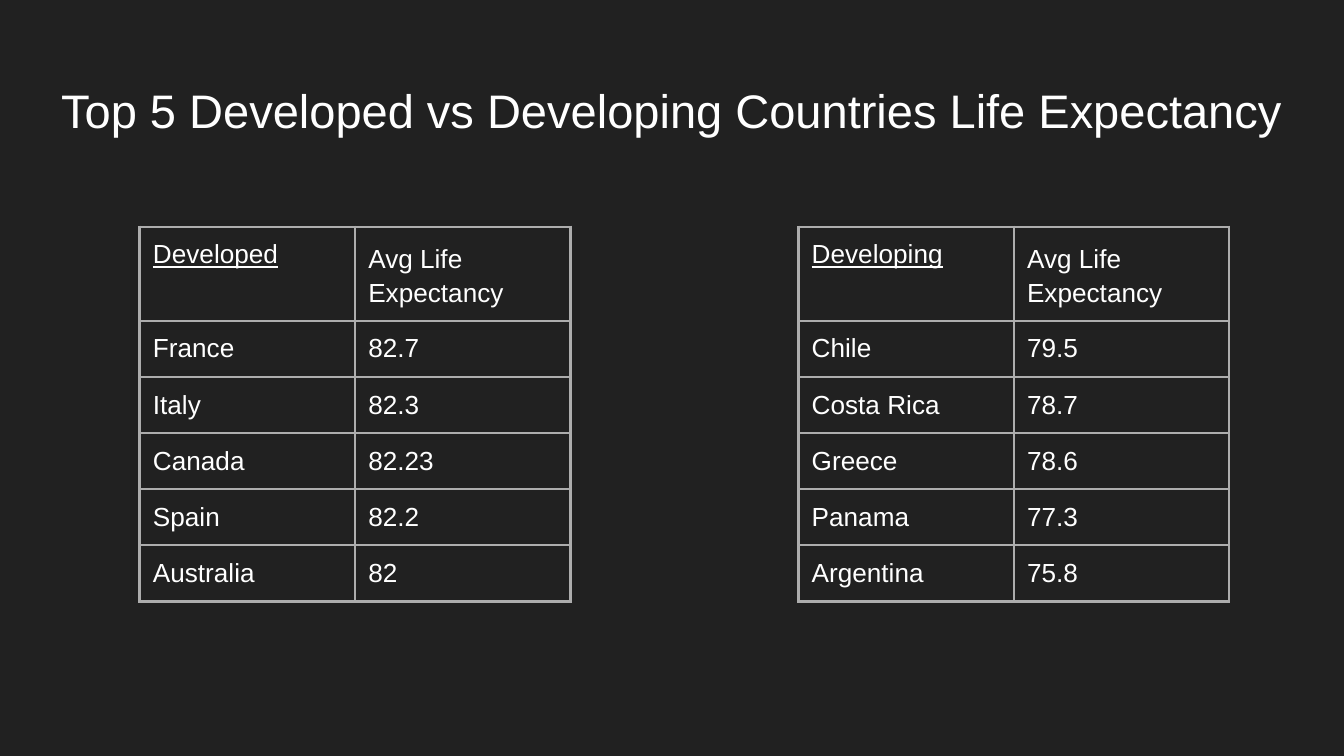
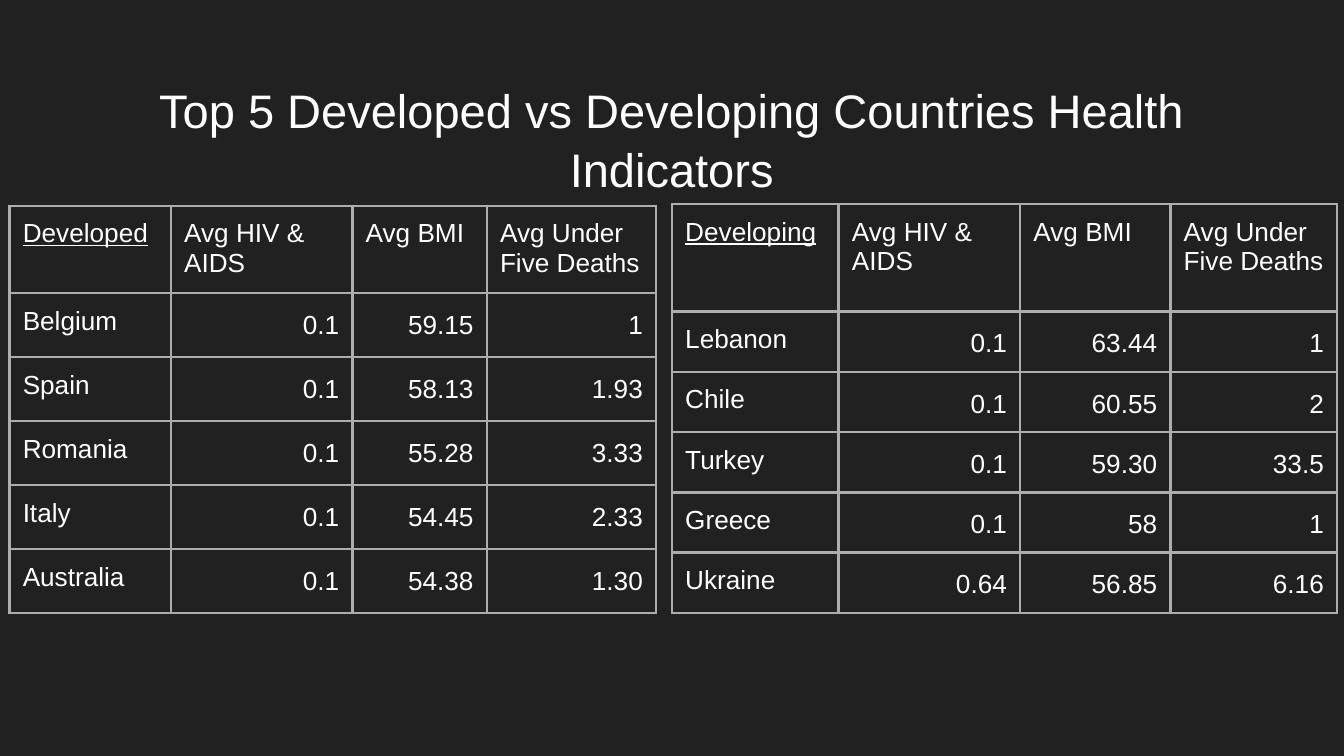
from dataclasses import dataclass

from lxml import etree
from pptx import Presentation
from pptx.dml.color import RGBColor
from pptx.enum.text import MSO_ANCHOR, MSO_AUTO_SIZE, PP_ALIGN
from pptx.oxml.ns import qn
from pptx.util import Cm, Pt

LEFT, CENTER, RIGHT = PP_ALIGN.LEFT, PP_ALIGN.CENTER, PP_ALIGN.RIGHT
TOP = MSO_ANCHOR.TOP
NO_AUTOFIT = MSO_AUTO_SIZE.NONE
TITLE_ONLY = 5


@dataclass(frozen=True)
class Theme:
    background: str = "212121"
    text: str = "FFFFFF"
    border: str = "ADADAD"
    font: str = "Arial"
    title_size: float = 25.2
    table_size: float = 14
    border_width: float = 1.5
    inset: float = 0.25


THEME = Theme()
SLIDE_SIZE = 25.4, 14.29
TITLE_BOX = 0.86, 1.24, 23.67, 1.6

LIFE_HEADER = ["Avg Life Expectancy"]
HEALTH_HEADER = ["Avg HIV & AIDS", "Avg BMI", "Avg Under Five Deaths"]

LOOSE = {"spacing": 1.15}
LIFE_STYLE = {"header": {**LOOSE, "after": 12}, "value": {}}
HEALTH_STYLE = {"header": {}, "value": {**LOOSE, "align": RIGHT}}

# Lengths are in centimetres; heights are for the header row and a country row.
LIFE_GRID = {"columns": [4.07, 4.07], "heights": (1.06, 1.06), "style": LIFE_STYLE}

SLIDES = [
    ("Top 5 Developed vs Developing Countries Life Expectancy", [
        {**LIFE_GRID, "at": (2.64, 4.29), "rows": [
            ["Developed", *LIFE_HEADER],
            ["France", "82.7"],
            ["Italy", "82.3"],
            ["Canada", "82.23"],
            ["Spain", "82.2"],
            ["Australia", "82"],
        ]},
        {**LIFE_GRID, "at": (15.09, 4.29), "rows": [
            ["Developing", *LIFE_HEADER],
            ["Chile", "79.5"],
            ["Costa Rica", "78.7"],
            ["Greece", "78.6"],
            ["Panama", "77.3"],
            ["Argentina", "75.8"],
        ]},
    ]),
    ("Top 5 Developed vs Developing Countries Health Indicators", [
        {"at": (12.7, 3.86), "columns": [3.15, 3.43, 2.84, 3.15],
         "heights": (2.03, 1.12), "style": HEALTH_STYLE, "rows": [
            ["Developing", *HEALTH_HEADER],
            ["Lebanon", "0.1", "63.44", "1"],
            ["Chile", "0.1", "60.55", "2"],
            ["Turkey", "0.1", "59.30", "33.5"],
            ["Greece", "0.1", "58", "1"],
            ["Ukraine", "0.64", "56.85", "6.16"],
        ]},
        {"at": (0.18, 3.89), "columns": [3.05, 3.43, 2.54, 3.2],
         "heights": (1.65, 1.21), "style": HEALTH_STYLE, "rows": [
            ["Developed", *HEALTH_HEADER],
            ["Belgium", "0.1", "59.15", "1"],
            ["Spain", "0.1", "58.13", "1.93"],
            ["Romania", "0.1", "55.28", "3.33"],
            ["Italy", "0.1", "54.45", "2.33"],
            ["Australia", "0.1", "54.38", "1.30"],
        ]},
    ]),
]


def write(frame, text, size=THEME.table_size, align=LEFT, spacing=None,
          after=None, underline=None):
    paragraph = frame.paragraphs[0]
    paragraph.alignment = align
    if spacing is not None:
        paragraph.line_spacing = spacing
    if after is not None:
        paragraph.space_after = Pt(after)
    run = paragraph.add_run()
    run.text = text
    run.font.size = Pt(size)
    run.font.name = THEME.font
    run.font.color.rgb = RGBColor.from_string(THEME.text)
    run.font.underline = underline


def set_insets(holder):
    """Give a text frame or a table cell the same margin on all sides."""
    holder.margin_left = holder.margin_right = Cm(THEME.inset)
    holder.margin_top = holder.margin_bottom = Cm(THEME.inset)


def add_borders(cell):
    properties = cell._tc.get_or_add_tcPr()
    for position, side in enumerate(("lnL", "lnR", "lnT", "lnB")):
        line = etree.Element(qn(f"a:{side}"), w=str(Pt(THEME.border_width)))
        fill = etree.SubElement(line, qn("a:solidFill"))
        etree.SubElement(fill, qn("a:srgbClr"), val=THEME.border)
        properties.insert(position, line)


def cell_format(row, column, style):
    if column == 0:
        return {"underline": True} if row == 0 else {}
    return style["header"] if row == 0 else style["value"]


def add_country_table(slide, at, columns, heights, style, rows):
    header_height, country_height = heights
    row_heights = [header_height] + [country_height] * (len(rows) - 1)
    table = slide.shapes.add_table(
        len(rows), len(columns), Cm(at[0]), Cm(at[1]),
        Cm(sum(columns)), Cm(sum(row_heights))).table
    table.first_row = table.horz_banding = False
    for column, width in zip(table.columns, columns):
        column.width = Cm(width)
    for r, (values, height) in enumerate(zip(rows, row_heights)):
        table.rows[r].height = Cm(height)
        for c, value in enumerate(values):
            cell = table.cell(r, c)
            set_insets(cell)
            cell.fill.background()
            add_borders(cell)
            write(cell.text_frame, value, **cell_format(r, c, style))


def add_title(slide, text):
    title = slide.shapes.title
    title.left, title.top, title.width, title.height = map(Cm, TITLE_BOX)
    frame = title.text_frame
    frame.word_wrap = True
    frame.auto_size = NO_AUTOFIT
    frame.vertical_anchor = TOP
    set_insets(frame)
    write(frame, text, size=THEME.title_size, align=CENTER, spacing=1.05)


def main():
    prs = Presentation()
    prs.slide_width, prs.slide_height = map(Cm, SLIDE_SIZE)
    backdrop = prs.slide_master.background.fill
    backdrop.solid()
    backdrop.fore_color.rgb = RGBColor.from_string(THEME.background)
    for title, tables in SLIDES:
        slide = prs.slides.add_slide(prs.slide_layouts[TITLE_ONLY])
        add_title(slide, title)
        for country_table in tables:
            add_country_table(slide, **country_table)
    prs.save("out.pptx")


if __name__ == "__main__":
    main()
